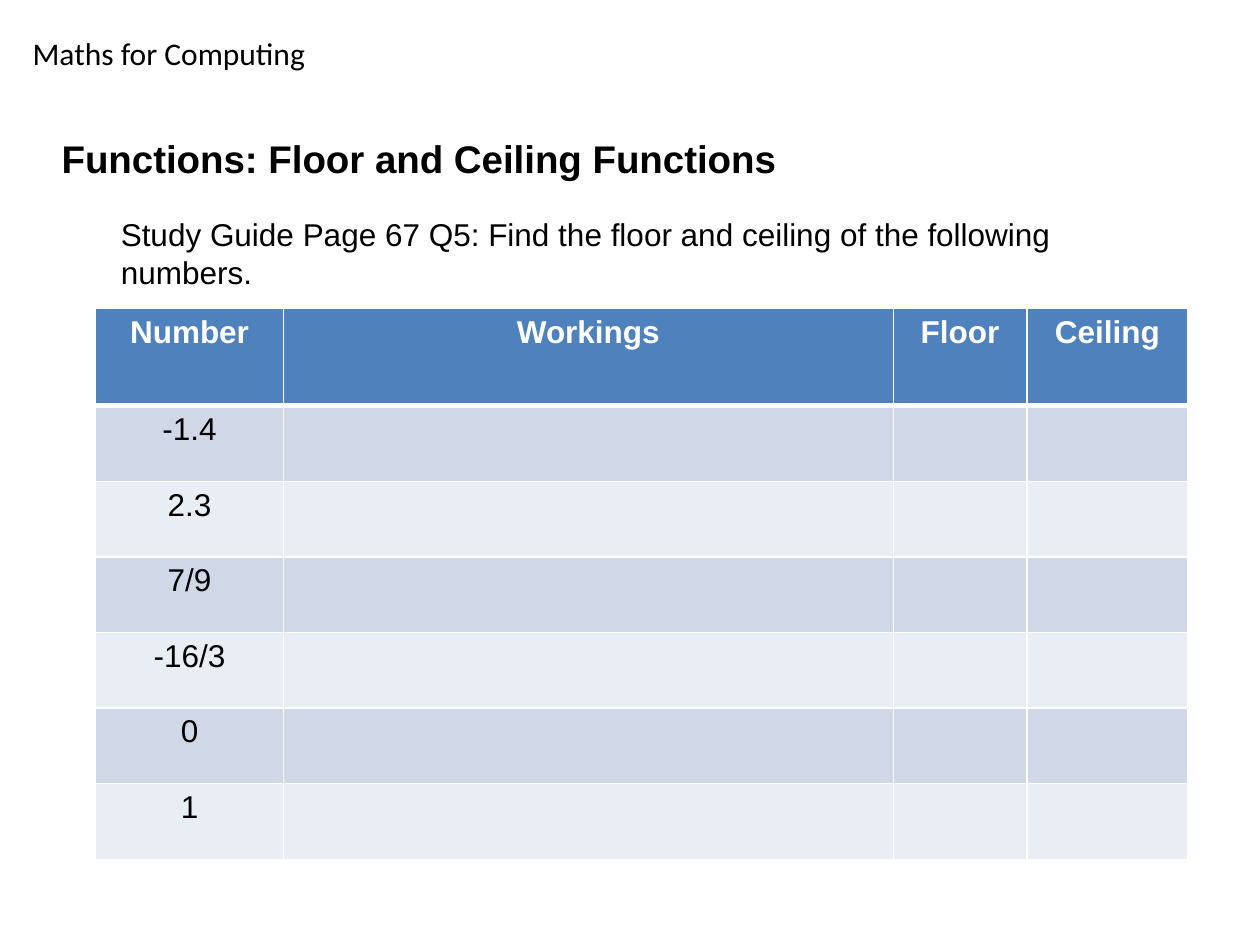
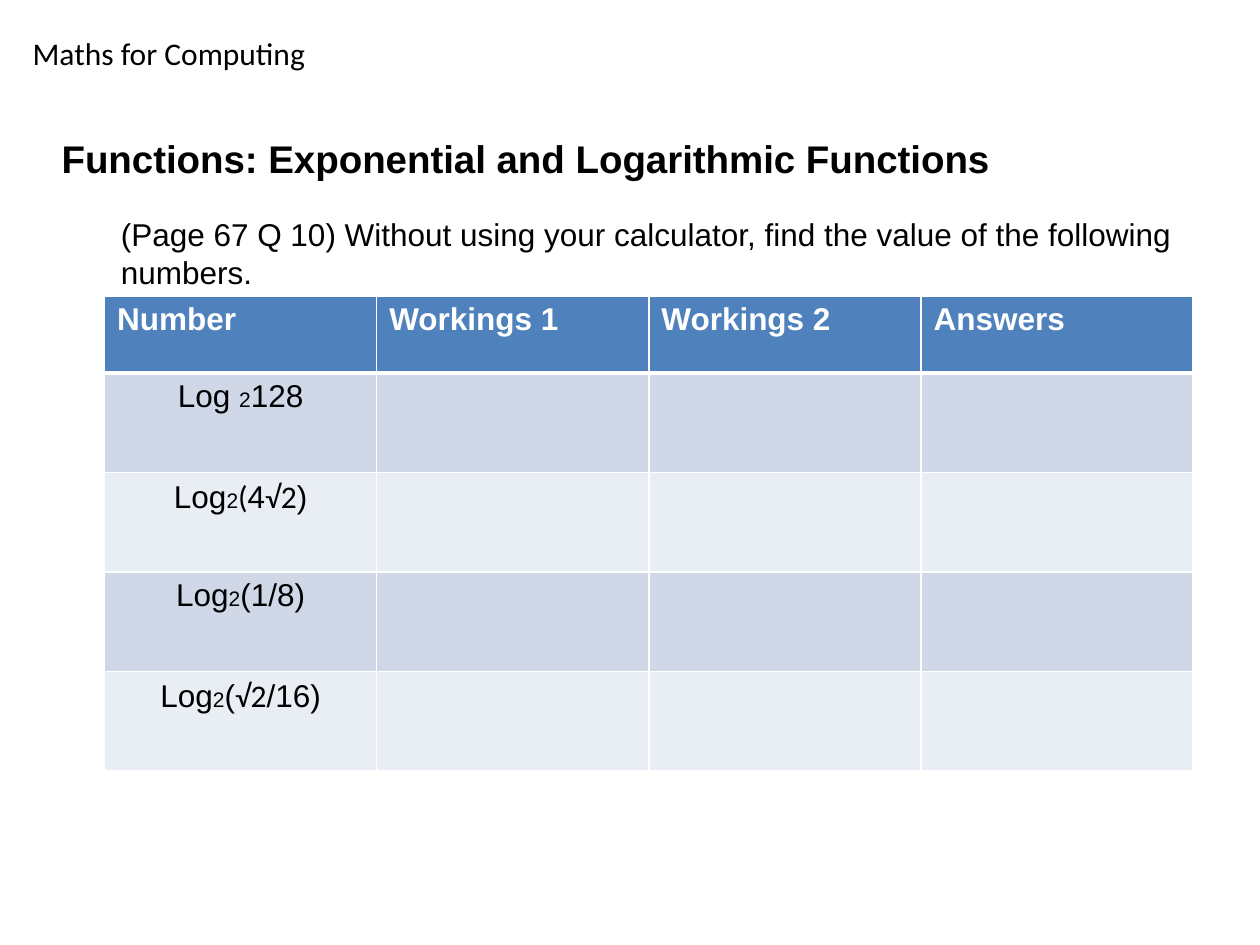
"""Build two maths worksheet slides, each with a heading, a task and an answer table."""
import pptx
import pptx.util
import pptx.dml.color
import pptx.enum.text
import pptx.oxml
import lxml.etree

Inches = pptx.util.Inches
Pt = pptx.util.Pt
ALIGN = pptx.enum.text.PP_ALIGN

COLORS = {"text": "000000", "white": "FFFFFF", "header": "4F81BD",
          "odd": "D0D8E8", "even": "E9EDF4"}
COURSE = "Maths for Computing"
BASE = ("2", {"size": 12})
ROOT = ("√2", {"font": "Calibri"})

SLIDES = [
    {"title": "Functions: Floor and Ceiling Functions",
     "task": "Study Guide Page 67 Q5: Find the floor and ceiling of the following numbers.",
     "header": ["Number", "Workings", "Floor", "Ceiling"],
     "header_align": ALIGN.CENTER,
     "numbers": ["-1.4", "2.3", "7/9", "-16/3", "0", "1"],
     "at": (0.76, 2.45), "cols": [1.49, 4.84, 1.06, 1.28],
     "header_height": 0.77, "row_height": 0.6},
    {"title": "Functions: Exponential and Logarithmic Functions",
     "task": "(Page 67 Q 10) Without using your calculator, find the value of the following numbers.",
     "header": ["Number", "Workings 1", "Workings 2", "Answers"],
     "header_align": ALIGN.LEFT,
     "numbers": [["Log ", BASE, "128"],
                 ["Log", BASE, ("(", {"font": "Calibri"}), "4", ROOT, ")"],
                 ["Log", BASE, "(1/8)"],
                 ["Log", BASE, "(", ROOT, "/16)"]],
     "at": (0.83, 2.35), "cols": [2.16] * 4,
     "header_height": 0.61, "row_height": 0.79},
]


def rgb(name):
    return pptx.dml.color.RGBColor.from_string(COLORS[name])


def write(tf, text, size=18, font="Arial", color="text", bold=False,
          align=ALIGN.LEFT, before=0, margin=0, indent=0):
    p = tf.paragraphs[0]
    p.alignment = align
    p.space_before = Pt(before)
    pPr = p._p.get_or_add_pPr()
    pPr.set("marL", str(Inches(margin)))
    pPr.set("indent", str(Inches(indent)))
    for part in [text] if isinstance(text, str) else text:
        words, own = (part, {}) if isinstance(part, str) else part
        r = p.add_run()
        r.text = words
        r.font.size = Pt(own.get("size", size))
        r.font.name = own.get("font", font)
        r.font.bold = bold
        r.font.color.rgb = rgb(color)


def add_text(s, at, text, **fmt):
    tf = s.shapes.add_textbox(*map(Inches, at)).text_frame
    tf.word_wrap = True
    write(tf, text, **fmt)


def set_borders(cell, **widths):
    tcPr = cell._tc.get_or_add_tcPr()
    for i, side in enumerate("LRTB"):
        ln = pptx.oxml.parse_xml(
            f'<a:ln{side} xmlns:a="http://schemas.openxmlformats.org/drawingml/2006/main" '
            f'w="{Pt(widths.get(side, 1))}"><a:solidFill><a:srgbClr val="{COLORS["white"]}"/>'
            f'</a:solidFill></a:ln{side}>')
        tcPr.insert(i, ln)


def add_answer_table(s, data):
    cols = data["cols"]
    heights = [data["header_height"]] + [data["row_height"]] * len(data["numbers"])
    size = (sum(cols), sum(heights))
    table = s.shapes.add_table(len(heights), len(cols),
                               *map(Inches, data["at"] + size)).table
    for col, width in zip(table.columns, cols):
        col.width = Inches(width)
    for row, height in zip(table.rows, heights):
        row.height = Inches(height)
    for i, row in enumerate(table.rows):
        for j, cell in enumerate(row.cells):
            cell.fill.solid()
            fill = "header" if i == 0 else "odd" if i % 2 else "even"
            cell.fill.fore_color.rgb = rgb(fill)
            set_borders(cell, **{0: {"B": 3}, 1: {"T": 3}}.get(i, {}))
            if i == 0:
                write(cell.text_frame, data["header"][j], color="white",
                      bold=True, align=data["header_align"])
            elif j == 0:
                write(cell.text_frame, data["numbers"][i - 1], align=ALIGN.CENTER)


def add_worksheet(prs, data):
    s = prs.slides.add_slide(prs.slide_layouts[6])
    add_text(s, (0.16, 0.22, 6.91, 0.4), COURSE, font="Calibri")
    add_text(s, (0.39, 1.02, 8.12, 0.43), data["title"], size=22, bold=True,
             margin=0.38, indent=-0.38)
    add_text(s, (0.39, 1.66, 9.15, 5.6), data["task"], before=4, margin=0.47)
    add_answer_table(s, data)


prs = pptx.Presentation()
prs.slide_width, prs.slide_height = Inches(10), Inches(7.5)
for data in SLIDES:
    add_worksheet(prs, data)
prs.save("out.pptx")
